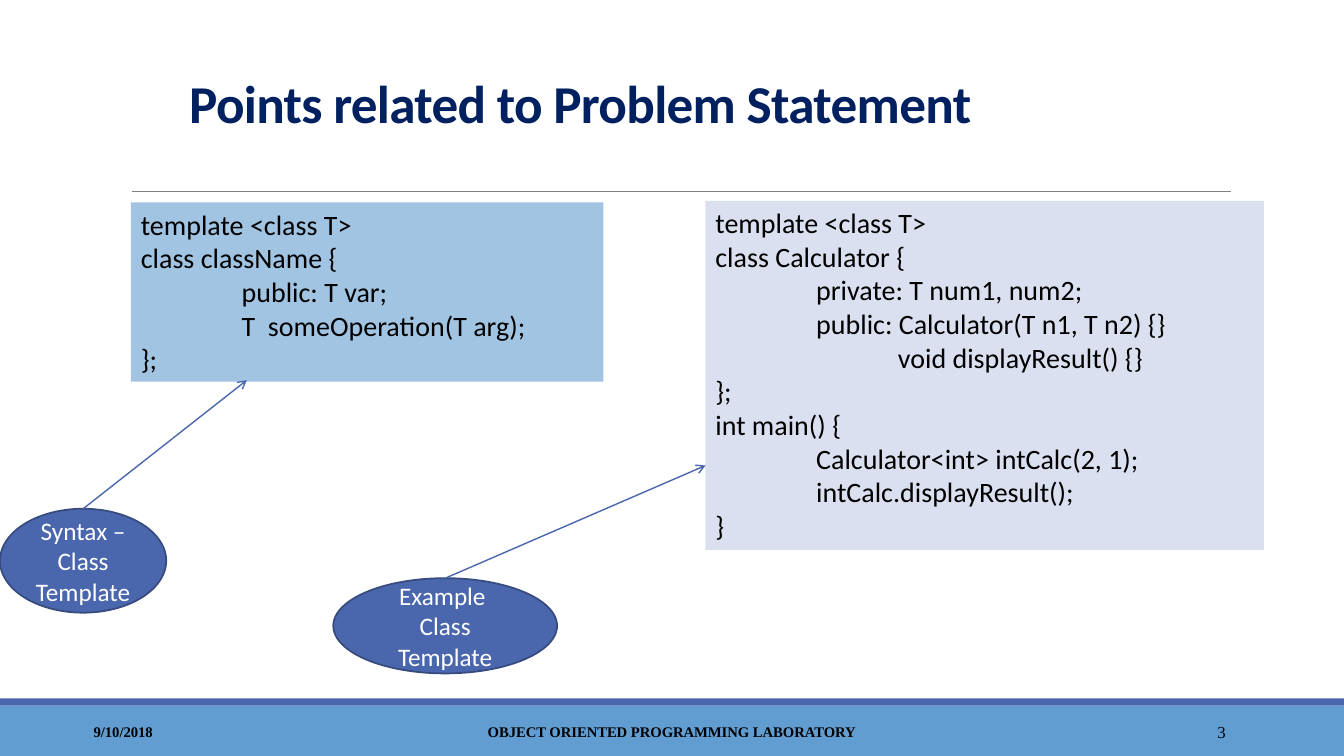
from dataclasses import dataclass

from pptx import Presentation
from pptx.dml.color import RGBColor
from pptx.enum import shapes, text
from pptx.oxml.ns import qn
from pptx.util import Cm, Pt
from lxml import etree

INK = {
    "bar": "629DD1", "blue": "4A66AC", "edge": "374B7F", "rule": "808080",
    "navy": "002060", "black": "000000", "white": "FFFFFF",
    "sky": "A1C4E3", "mist": "DAE0EF",
}
SANS, SERIF = "Calibri", "Times New Roman"
LEFT, MID, RIGHT = text.PP_ALIGN.LEFT, text.PP_ALIGN.CENTER, text.PP_ALIGN.RIGHT
TOP, CENTER, LOW = (text.MSO_ANCHOR.TOP, text.MSO_ANCHOR.MIDDLE,
                    text.MSO_ANCHOR.BOTTOM)
RECT, OVAL = shapes.MSO_SHAPE.RECTANGLE, shapes.MSO_SHAPE.OVAL


@dataclass
class Box:
    """Position and size in centimetres."""
    x: float
    y: float
    w: float
    h: float

    def cm(self) -> list:
        return [Cm(v) for v in (self.x, self.y, self.w, self.h)]


@dataclass
class Style:
    size: float
    color: str = "black"
    font: str = SANS
    bold: bool = False
    align: int = LEFT
    anchor: int = TOP


@dataclass
class Label:
    box: Box
    words: str
    style: Style


@dataclass
class Code:
    """A listing; each line is an indent in centimetres and its words."""
    box: Box
    fill: str
    lines: list


@dataclass
class Callout:
    box: Box
    words: str
    tip: tuple


TAB, DEEP = 2.54, 4.6
FOOT = Style(10.5, font=SERIF, bold=True, anchor=CENTER)
FOOT_MID = Style(10.5, font=SERIF, bold=True, align=MID, anchor=CENTER)
PAGE = Style(12, font=SERIF, align=RIGHT, anchor=CENTER)
TITLE = Style(38, "navy", bold=True, anchor=LOW)
NOTE = Style(18, "white", align=MID, anchor=CENTER)

BARS = [(Box(0, 17.78, 33.87, 1.27), "bar"), (Box(0, 17.6, 33.87, 0.18), "blue")]
FEET = [
    Label(Box(2.11, 17.93, 7.62, 1.02), "9/10/2018", FOOT),
    Label(Box(27.51, 17.93, 3.63, 1.02), "3", PAGE),
    Label(Box(10.24, 17.93, 13.39, 1.02),
          "OBJECT ORIENTED PROGRAMMING LABORATORY", FOOT_MID),
]
HEAD = Label(Box(4.52, 1.75, 26.47, 1.75), "Points related to Problem Statement",
             TITLE)
CODES = [
    Code(Box(3.3, 5.1, 11.91, 4.52), "sky", [
        (0, "template <class T>"),
        (0, "class className {"),
        (TAB, "public: T var;"),
        (TAB, "T  someOperation(T arg);"),
        (0, "};"),
    ]),
    Code(Box(17.78, 5.06, 14.07, 8.8), "mist", [
        (0, "template <class T>"),
        (0, "class Calculator {"),
        (TAB, "private: T num1, num2;"),
        (TAB, "public: Calculator(T n1, T n2) {}"),
        (DEEP, "void displayResult() {}"),
        (0, "};"),
        (0, "int main() {"),
        (TAB, "Calculator<int> intCalc(2, 1);"),
        (TAB, "intCalc.displayResult();"),
        (0, "}"),
    ]),
]
CALLS = [
    Callout(Box(0, 12.82, 4.19, 2.62), "Syntax – Class Template", (6.22, 9.58)),
    Callout(Box(8.4, 14.57, 5.64, 2.4), "Example  Class Template", (17.78, 11.73)),
]


def paint(name: str) -> RGBColor:
    return RGBColor.from_string(INK[name])


def write(shape, words: str, style: Style) -> None:
    frame = shape.text_frame
    frame.text = words
    frame.word_wrap = True
    frame.vertical_anchor = style.anchor
    for para in frame.paragraphs:
        para.alignment = style.align
        for run in para.runs:
            run.font.name = style.font
            run.font.size = Pt(style.size)
            run.font.bold = style.bold
            run.font.color.rgb = paint(style.color)


def block(slide, kind, box: Box, fill: str, edge: str = ""):
    shape = slide.shapes.add_shape(kind, *box.cm())
    shape.shadow.inherit = False
    shape.fill.solid()
    shape.fill.fore_color.rgb = paint(fill)
    if edge:
        shape.line.color.rgb = paint(edge)
        shape.line.width = Pt(1.25)
    else:
        shape.line.fill.background()
    return shape


def label(slide, item: Label):
    shape = slide.shapes.add_textbox(*item.box.cm())
    write(shape, item.words, item.style)
    return shape


def line(slide, start: tuple, end: tuple, color: str, width: float):
    link = slide.shapes.add_connector(
        shapes.MSO_CONNECTOR.STRAIGHT, *[Cm(v) for v in start + end])
    link.line.color.rgb = paint(color)
    link.line.width = Pt(width)
    etree.SubElement(link._element.spPr, qn("a:effectLst"))
    return link


def listing(slide, code: Code) -> None:
    shape = block(slide, RECT, code.box, code.fill)
    write(shape, "\n".join(words for _, words in code.lines), Style(20))
    for para, (indent, _) in zip(shape.text_frame.paragraphs, code.lines):
        para._p.get_or_add_pPr().set("marL", str(Cm(indent)))


def callout(slide, call: Callout) -> None:
    """Draw an oval with an arrow from its top to the tip."""
    oval = block(slide, OVAL, call.box, "blue", "edge")
    write(oval, call.words, NOTE)
    top = (call.box.x + call.box.w / 2, call.box.y)
    link = line(slide, top, call.tip, "blue", 1)
    link.begin_connect(oval, 0)
    etree.SubElement(link.line._get_or_add_ln(), qn("a:tailEnd"), type="arrow")


def main() -> None:
    deck = Presentation()
    deck.slide_width, deck.slide_height = Cm(33.87), Cm(19.05)
    slide = deck.slides.add_slide(deck.slide_layouts[6])
    for box, fill in BARS:
        block(slide, RECT, box, fill)
    line(slide, (3.33, 4.83), (31.01, 4.83), "rule", 0.5)
    para = label(slide, HEAD).text_frame.paragraphs[0]
    para.line_spacing = 0.85
    para.runs[0].font._element.set("spc", "-50")
    for foot in FEET:
        label(slide, foot)
    for code in CODES:
        listing(slide, code)
    for call in CALLS:
        callout(slide, call)
    deck.save("out.pptx")


if __name__ == "__main__":
    main()
